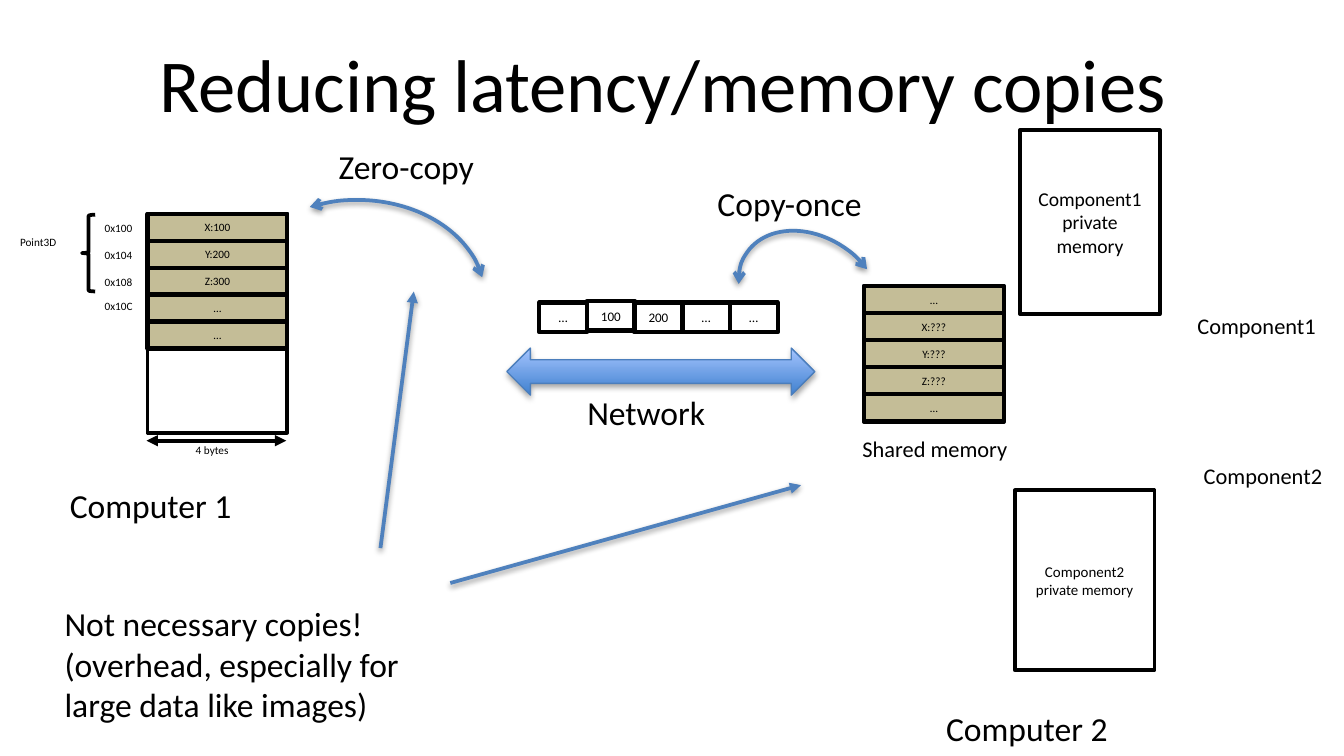
import pptx
import pptx.util
import pptx.dml.color
import pptx.enum.shapes
import pptx.enum.text
import pptx.oxml
import pptx.oxml.ns

Cm, Pt = pptx.util.Cm, pptx.util.Pt
RGBColor = pptx.dml.color.RGBColor
SHAPE = pptx.enum.shapes.MSO_SHAPE
ALIGN = pptx.enum.text.PP_ALIGN
MIDDLE = pptx.enum.text.MSO_ANCHOR.MIDDLE
STRAIGHT = pptx.enum.shapes.MSO_CONNECTOR.STRAIGHT
qn = pptx.oxml.ns.qn

BLACK = RGBColor(0x00, 0x00, 0x00)
WHITE = RGBColor(0xFF, 0xFF, 0xFF)
TAN = RGBColor(0xC4, 0xBD, 0x97)
TAN_EDGE = RGBColor(0x3A, 0x5F, 0x8C)
BLUE = RGBColor(0x4F, 0x81, 0xBD)
ARROW_EDGE = RGBColor(0x4B, 0x7E, 0xBC)
ARROW_DARK = RGBColor(0x3F, 0x80, 0xCE)
ARROW_LIGHT = RGBColor(0xA4, 0xC4, 0xFF)

deck = pptx.Presentation()
deck.slide_width, deck.slide_height = Cm(25.4), Cm(14.29)
page = deck.slides.add_slide(deck.slide_layouts[5])


def draw_shape(kind, place, fill=None, edge=BLACK, weight=2, text="", size=6):
    shape = page.shapes.add_shape(kind, *[Cm(value) for value in place])
    shape.shadow.inherit = False
    if fill is None:
        shape.fill.background()
    else:
        shape.fill.solid()
        shape.fill.fore_color.rgb = fill
    shape.line.color.rgb = edge
    shape.line.width = Pt(weight)
    if text:
        frame = shape.text_frame
        frame.margin_top = frame.margin_bottom = 0
        frame.vertical_anchor = MIDDLE
        para = frame.paragraphs[0]
        para.text = text
        para.alignment = ALIGN.CENTER
        para.font.name, para.font.size = "Calibri", Pt(size)
        para.font.color.rgb = BLACK
    return shape


def add_effects(shape, head=None, tail=None, shadow_alpha=0, distance=1.6):
    """Arrowheads and a soft drop shadow, or none when the alpha is zero."""
    line = shape.line._get_or_add_ln()
    for tag, end in (("a:headEnd", head), ("a:tailEnd", tail)):
        if end:
            pptx.oxml.ns  # namespace map used by qn
            line.append(line.makeelement(qn(tag), {"type": end}))
    properties = shape._element.spPr
    effects = properties.find(qn("a:effectLst"))
    if effects is None:
        effects = properties.makeelement(qn("a:effectLst"), {})
        properties.append(effects)
    if shadow_alpha:
        effects.append(pptx.oxml.parse_xml(
            '<a:outerShdw xmlns:a="http://schemas.openxmlformats.org/drawingml/2006/main"'
            f' blurRad="{Pt(3.1)}" dist="{Pt(distance)}" dir="5400000" rotWithShape="0">'
            f'<a:srgbClr val="000000"><a:alpha val="{shadow_alpha * 1000}"/></a:srgbClr>'
            '</a:outerShdw>'))


# Title
title = page.shapes.title
title.left, title.top, title.width, title.height = Cm(-0.18), Cm(0.36), Cm(25.4), Cm(2.39)
title.text_frame.vertical_anchor = MIDDLE
para = title.text_frame.paragraphs[0]
para.text = "Reducing latency/memory copies"
para.alignment = ALIGN.CENTER
para.font.name, para.font.size = "Calibri", Pt(40)
para.font.color.rgb = BLACK

# Memory of computer 1 and shared memory of computer 2
ROW, WIDTH = 0.51, 2.64
for left, top, height, rows in (
    (2.79, 4.04, 4.14, ("X:100", "Y:200", "Z:300", "…", "…")),
    (16.33, 5.41, 2.57, ("…", "X:???", "Y:???", "Z:???", "…")),
):
    draw_shape(SHAPE.RECTANGLE, (left, top, WIDTH, height), WHITE)
    draw_shape(SHAPE.RECTANGLE, (left, top, WIDTH, 2.54), TAN, TAN_EDGE)
    for index, value in enumerate(rows):
        draw_shape(SHAPE.RECTANGLE, (left, top + index * ROW, WIDTH, ROW),
                   weight=2.25, text=value)

draw_shape(SHAPE.LEFT_BRACE, (1.55, 4.06, 0.25, 1.45))

# Packet on the network
for index, value in enumerate(("…", "100", "200", "…", "…")):
    top = 5.69 if value == "100" else 5.72
    draw_shape(SHAPE.RECTANGLE, (10.19 + index * 0.9, top, 0.91, 0.56),
               weight=2.25, text=value, size=7)

network = draw_shape(SHAPE.LEFT_RIGHT_ARROW, (9.58, 6.58, 5.82, 0.89),
                     edge=ARROW_EDGE, weight=0.75)
network.fill.gradient()
network.fill.gradient_angle = 90
for stop, color, position in zip(network.fill.gradient_stops,
                                 (ARROW_DARK, ARROW_LIGHT), (0, 1)):
    stop.color.rgb = color
    stop.position = position
add_effects(network, shadow_alpha=35, distance=1.8)

# Curved copy arrows: place, start and end angle in degrees, rotation
for place, start, end, rotation in (
    ((4.34, 3.78, 4.83, 3.71), 242.45, 350.53, 0),
    ((14.2, 4.14, 2.24, 2.92), 245.42, 30.15, 304.3),
):
    arc = draw_shape(SHAPE.ARC, place, edge=BLUE)
    arc.adjustments[0], arc.adjustments[1] = start * 0.6, end * 0.6
    arc.rotation = rotation
    add_effects(arc, "arrow", "arrow", shadow_alpha=38)

# Straight arrows: ends, colour, head, shadow
for ends, color, head, alpha in (
    ((2.77, 8.33, 5.41, 8.33), BLACK, "triangle", 0),
    ((7.19, 10.36, 7.82, 5.51), BLUE, None, 38),
    ((8.51, 11.02, 15.14, 9.17), BLUE, None, 38),
):
    arrow = page.shapes.add_connector(STRAIGHT, *[Cm(value) for value in ends])
    arrow.line.color.rgb = color
    arrow.line.width = Pt(2)
    add_effects(arrow, head, "triangle", alpha)

# Private memory of the components
draw_shape(SHAPE.RECTANGLE, (19.28, 2.46, WIDTH, 3.48), WHITE,
           text="Component1 private memory", size=10.5)
draw_shape(SHAPE.RECTANGLE, (19.18, 9.27, WIDTH, 3.4), WHITE,
           text="Component2 private memory", size=8)

# Labels: text, size, left, top, width, height
NOTE = "Not necessary copies! (overhead, especially for large data like images)"
for text, size, left, top, width, height in (
    ("0x100", 6, 1.73, 4.06, 1.04, 0.51),
    ("0x104", 6, 1.73, 4.57, 1.04, 0.51),
    ("0x108", 6, 1.73, 5.08, 1.04, 0.51),
    ("0x10C", 6, 1.73, 5.54, 1.04, 0.51),
    ("Point3D", 6, 0.13, 4.32, 1.22, 0.51),
    ("4 bytes", 6, 3.45, 8.26, 1.14, 0.51),
    ("Network", 18, 10.85, 7.29, 2.77, 1.02),
    ("Computer 1", 18, 1.07, 9.04, 3.61, 1.02),
    ("Computer 2", 18, 17.63, 13.26, 3.61, 1.02),
    ("Zero-copy", 18, 6.15, 2.64, 3.1, 1.02),
    ("Copy-once", 18, 13.31, 3.33, 3.28, 1.02),
    ("Component1", 12, 22.38, 5.77, 2.77, 0.76),
    ("Component2", 12, 22.5, 8.61, 2.77, 0.76),
    ("Shared memory", 12, 16.05, 8.1, 3.28, 0.76),
    (NOTE, 18, 0.97, 11.28, 7.85, 2.57),
):
    box = page.shapes.add_textbox(Cm(left), Cm(top), Cm(width), Cm(height))
    box.text_frame.word_wrap = text == NOTE
    box.text_frame.auto_size = pptx.enum.text.MSO_AUTO_SIZE.SHAPE_TO_FIT_TEXT
    para = box.text_frame.paragraphs[0]
    para.text = text
    para.font.name, para.font.size = "Calibri", Pt(size)
    para.font.color.rgb = BLACK

deck.save("out.pptx")
